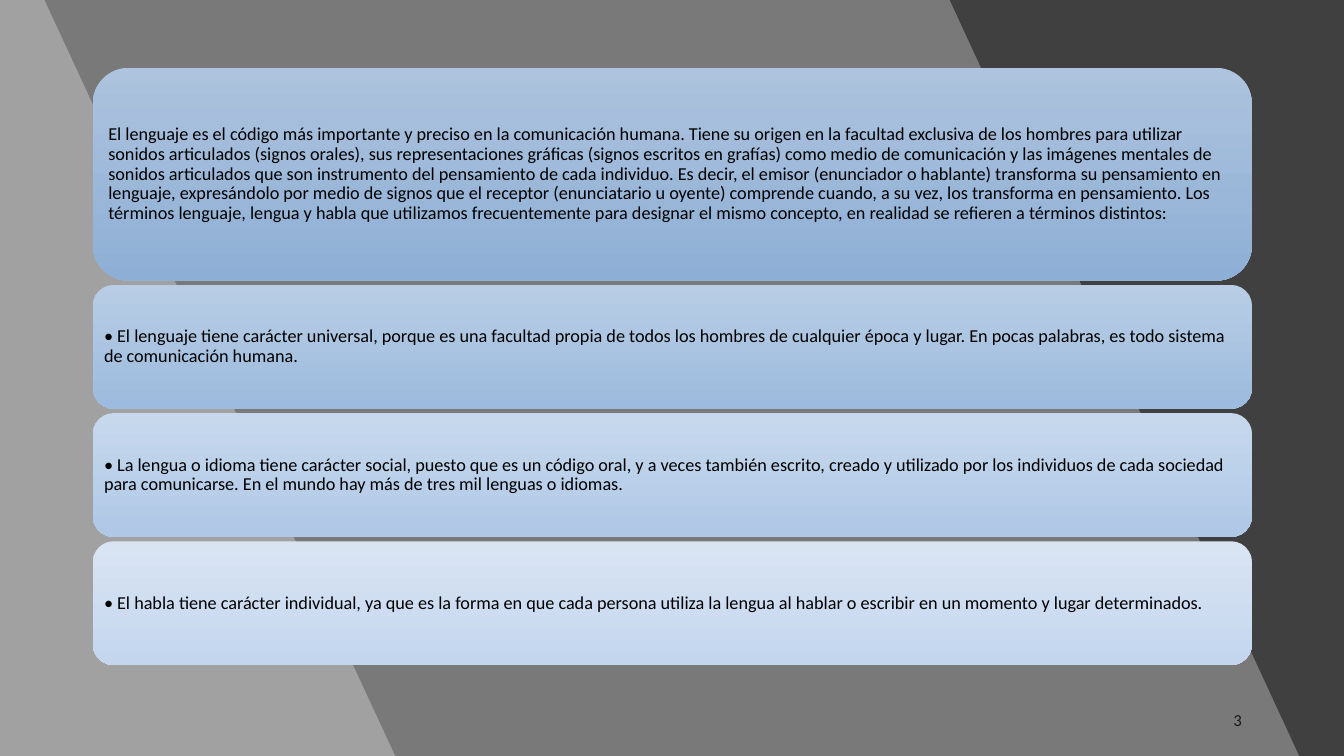
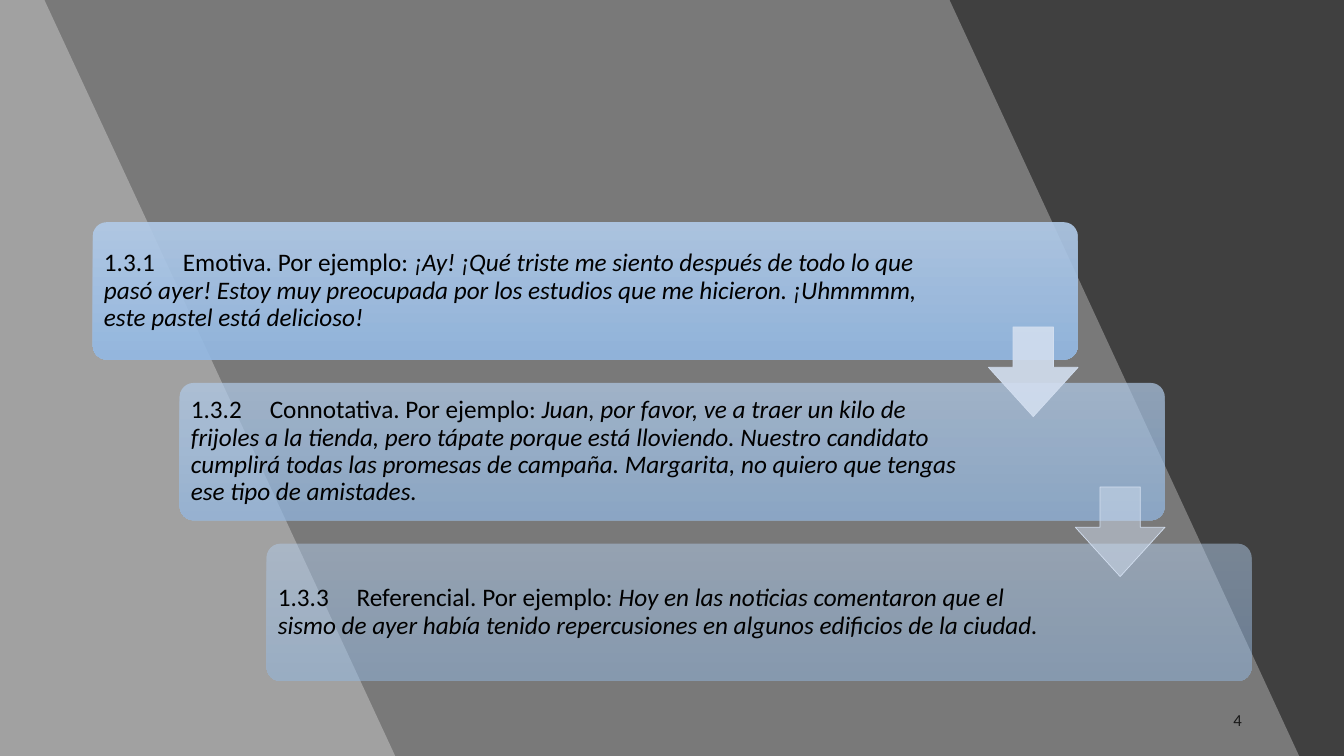
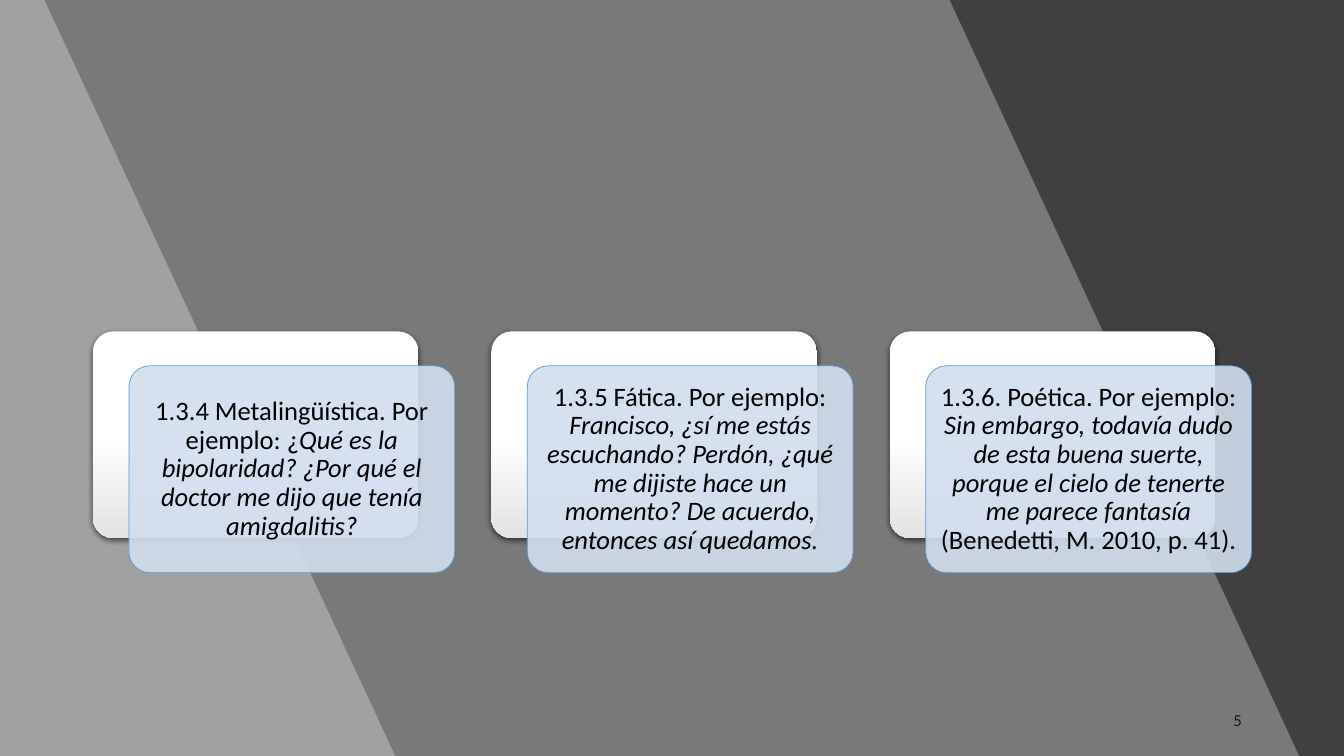
import pptx
import pptx.dml.color
import pptx.enum.shapes
import pptx.enum.text
import pptx.oxml
import pptx.oxml.ns
import pptx.util
from pptx.dml.color import RGBColor
from pptx.util import Cm

BLACK = RGBColor(0x00, 0x00, 0x00)
WHITE = RGBColor(0xFF, 0xFF, 0xFF)
CHARCOAL = RGBColor(0x40, 0x40, 0x40)
SILVER = RGBColor(0xE3, 0xE3, 0xE3)
PALE_BLUE = RGBColor(0xD2, 0xDE, 0xEF)
EDGE_BLUE = RGBColor(0x5B, 0x9B, 0xD5)
STEP_BLUES = [RGBColor(0xB1, 0xCB, 0xE9), RGBColor(0x93, 0xB9, 0xE4)]
CONCEPT_BLUES = [
    [RGBColor(0xAD, 0xC3, 0xDE), RGBColor(0x8E, 0xAF, 0xD5)],
    [RGBColor(0xB8, 0xCD, 0xE5), RGBColor(0x9D, 0xBB, 0xDE)],
    [RGBColor(0xC7, 0xD8, 0xED), RGBColor(0xAF, 0xC8, 0xE6)],
    [RGBColor(0xD9, 0xE4, 0xF3), RGBColor(0xC4, 0xD6, 0xEE)],
]
FONT = "Calibri"
LEFT = 2.34
ROUNDED = pptx.enum.shapes.MSO_SHAPE.ROUNDED_RECTANGLE
DOWN_ARROW = pptx.enum.shapes.MSO_SHAPE.DOWN_ARROW
ALIGN = pptx.enum.text.PP_ALIGN
NAMESPACE = pptx.oxml.ns.nsdecls("a")
COLOUR_TAG = pptx.oxml.ns.qn("a:srgbClr")


def add_panel(slide, kind, box, colours, opacity=100, adjustments=(), line=None):
    shape = slide.shapes.add_shape(kind, *[Cm(length) for length in box])
    for index, value in enumerate(adjustments):
        shape.adjustments[index] = value
    if len(colours) == 1:
        shape.fill.solid()
        shape.fill.fore_color.rgb = colours[0]
    else:
        shape.fill.gradient()
        shape.fill.gradient_angle = 270
        for stop, colour in zip(shape.fill.gradient_stops, colours):
            stop.color.rgb = colour
    if opacity < 100:
        for colour in shape.element.spPr.iter(COLOUR_TAG):
            colour.append(pptx.oxml.parse_xml(f'<a:alpha {NAMESPACE} val="{opacity * 1000}"/>'))
    if line is None:
        shape.line.fill.background()
    else:
        shape.line.color.rgb = line
        shape.line.width = pptx.util.Pt(0.5)
    shape.shadow.inherit = False
    return shape


def write_text(shape, runs, size, alignment=ALIGN.LEFT, margin=0.25, right=None, tab=None):
    frame = shape.text_frame
    frame.word_wrap = True
    frame.vertical_anchor = pptx.enum.text.MSO_ANCHOR.MIDDLE
    frame.margin_left = frame.margin_top = frame.margin_bottom = Cm(margin)
    frame.margin_right = Cm(margin if right is None else right)
    paragraph = frame.paragraphs[0]
    paragraph.alignment = alignment
    paragraph.line_spacing = 0.9
    if tab:
        paragraph._p.get_or_add_pPr().append(pptx.oxml.parse_xml(
            f'<a:tabLst {NAMESPACE}><a:tab pos="{Cm(tab)}" algn="l"/></a:tabLst>'))
    paragraph.font.name = FONT
    paragraph.font.size = pptx.util.Pt(size)
    paragraph.font.color.rgb = BLACK
    for text, italic in runs:
        run = paragraph.add_run()
        run.text = text
        if italic:
            run.font.italic = True
    return paragraph


presentation = pptx.Presentation()
presentation.slide_width = Cm(33.87)
presentation.slide_height = Cm(19.05)
background = presentation.slide_master.background.fill
background.solid()
background.fore_color.rgb = CHARCOAL

slides = []
for number in (3, 4, 5):
    slide = presentation.slides.add_slide(presentation.slide_layouts[6])
    for top_right, bottom_right in ((23.93, 32.74), (1.12, 9.96)):
        builder = slide.shapes.build_freeform(0, 0)
        builder.add_line_segments([
            (Cm(top_right), 0), (Cm(bottom_right), Cm(19.05)), (0, Cm(19.05))])
        band = builder.convert_to_shape()
        band.fill.solid()
        band.fill.fore_color.rgb = WHITE
        for colour in band.element.spPr.iter(COLOUR_TAG):
            colour.append(pptx.oxml.parse_xml(f'<a:alpha {NAMESPACE} val="30000"/>'))
        band.line.fill.background()
        band.shadow.inherit = False
    number_box = slide.shapes.add_textbox(Cm(23.93), Cm(17.65), Cm(7.62), Cm(1.02))
    paragraph = write_text(number_box, [(str(number), False)], 12, ALIGN.RIGHT)
    for colour in paragraph._p.iter(COLOUR_TAG):
        colour.append(pptx.oxml.parse_xml(f'<a:alpha {NAMESPACE} val="80000"/>'))
    slides.append(slide)

concepts_slide, steps_slide, cards_slide = slides

concepts = [
    "El lenguaje es el código más importante y preciso en la comunicación humana. Tiene su origen en la facultad exclusiva de los hombres para utilizar sonidos articulados (signos orales), sus representaciones gráficas (signos escritos en grafías) como medio de comunicación y las imágenes mentales de sonidos articulados que son instrumento del pensamiento de cada individuo. Es decir, el emisor (enunciador o hablante) transforma su pensamiento en lenguaje, expresándolo por medio de signos que el receptor (enunciatario u oyente) comprende cuando, a su vez, los transforma en pensamiento. Los términos lenguaje, lengua y habla que utilizamos frecuentemente para designar el mismo concepto, en realidad se refieren a términos distintos:",
    "• El lenguaje tiene carácter universal, porque es una facultad propia de todos los hombres de cualquier época y lugar. En pocas palabras, es todo sistema de comunicación humana.",
    "• La lengua o idioma tiene carácter social, puesto que es un código oral, y a veces también escrito, creado y utilizado por los individuos de cada sociedad para comunicarse. En el mundo hay más de tres mil lenguas o idiomas.",
    "• El habla tiene carácter individual, ya que es la forma en que cada persona utiliza la lengua al hablar o escribir en un momento y lugar determinados.",
]
top = 1.71
for text, colours, height in zip(concepts, CONCEPT_BLUES, (5.36, 3.12, 3.12, 3.12)):
    panel = add_panel(concepts_slide, ROUNDED, (LEFT, top, 29.21, height), colours)
    write_text(panel, [(text, False)], 13, margin=0.13)
    top += height + 0.11

steps = [
    ("1.3.1\tEmotiva. Por ejemplo: ",
     "¡Ay! ¡Qué triste me siento después de todo lo que pasó ayer! Estoy muy preocupada por los estudios que me hicieron. ¡Uhmmmm, este pastel está delicioso!", 90, 3.71),
    ("1.3.2\tConnotativa. Por ejemplo: ",
     "Juan, por favor, ve a traer un kilo de frijoles a la tienda, pero tápate porque está lloviendo. Nuestro candidato cumplirá todas las promesas de campaña. Margarita, no quiero que tengas ese tipo de amistades.", 70, 4.6),
    ("1.3.3\tReferencial. Por ejemplo: ",
     "Hoy en las noticias comentaron que el sismo de ayer había tenido repercusiones en algunos edificios de la ciudad.", 50, 4.6),
]
for index, (heading, example, opacity, right) in enumerate(steps):
    box = (LEFT + 2.19 * index, 5.6 + 4.05 * index, 24.82, 3.46)
    panel = add_panel(steps_slide, ROUNDED, box, STEP_BLUES, opacity, [0.1])
    write_text(panel, [(heading, False), (example, True)], 18, margin=0.18, right=right, tab=1.99)
for index, opacity in enumerate((90, 50)):
    box = (24.91 + 2.19 * index, 8.24 + 4.03 * index, 2.26, 2.26)
    add_panel(steps_slide, DOWN_ARROW, box, [PALE_BLUE], opacity, [0.45, 0.55], PALE_BLUE)

cards = [
    [("1.3.4 Metalingüística. Por ejemplo: ¿", False),
     ("Qué es la bipolaridad? ¿Por qué el doctor me dijo que tenía amigdalitis?", True)],
    [("1.3.5 Fática. Por ejemplo: ", False),
     ("Francisco, ¿sí me estás escuchando? Perdón, ¿qué me dijiste hace un momento? De acuerdo, entonces así quedamos.", True)],
    [("1.3.6. Poética. Por ejemplo: ", False),
     ("Sin embargo, todavía dudo de esta buena suerte, porque el cielo de tenerte me parece fantasía ", True),
     ("(Benedetti, M. 2010, p. 41).", False)],
]
for index, runs in enumerate(cards):
    left = LEFT + 10.04 * index
    backing = add_panel(cards_slide, ROUNDED, (left, 8.35, 8.21, 5.21), [WHITE, SILVER], adjustments=[0.1])
    backing.fill.gradient_stops[0].position = 0.5
    effects = backing.element.spPr.find(pptx.oxml.ns.qn("a:effectLst"))
    effects.append(pptx.oxml.parse_xml(
        f'<a:outerShdw {NAMESPACE} blurRad="57150" dist="19050" dir="5400000" algn="ctr" rotWithShape="0">'
        '<a:srgbClr val="000000"><a:alpha val="63000"/></a:srgbClr></a:outerShdw>'))
    card = add_panel(cards_slide, ROUNDED, (left + 0.91, 9.22, 8.21, 5.21),
                     [PALE_BLUE], 90, [0.1], EDGE_BLUE)
    write_text(card, runs, 19, ALIGN.CENTER, margin=0.2)

presentation.save("out.pptx")
